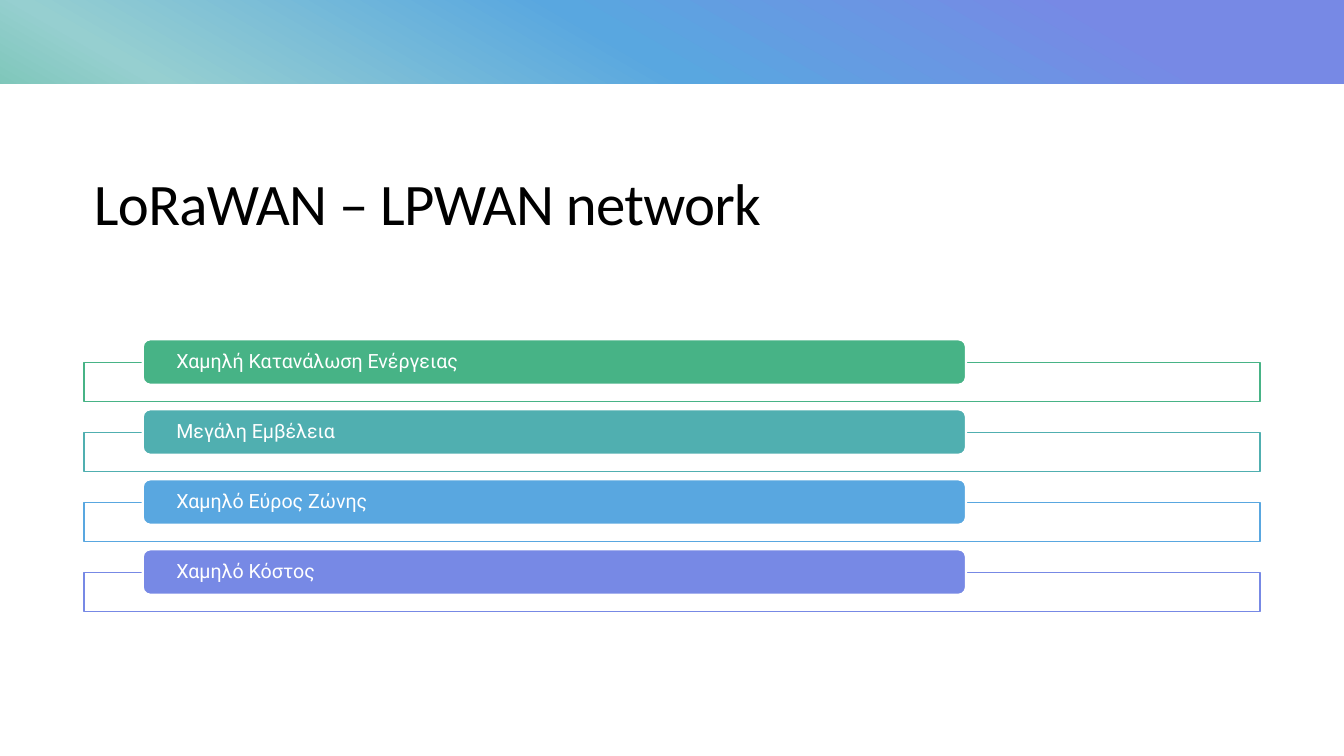
from dataclasses import dataclass

from lxml.etree import SubElement
from pptx import Presentation
from pptx.dml.color import RGBColor as Rgb
from pptx.enum.shapes import MSO_SHAPE as Kind
from pptx.enum.text import MSO_ANCHOR as Anchor, PP_ALIGN as Align
from pptx.oxml.ns import qn
from pptx.shapes.autoshape import Shape
from pptx.shapes.shapetree import SlideShapes as Shapes
from pptx.util import Pt


@dataclass(frozen=True)
class Theme:
    white: str = "FFFFFF"
    black: str = "000000"
    green: str = "47B386"
    teal: str = "50AFB0"
    blue: str = "59A7E0"
    violet: str = "7789E5"
    mint: str = "96CFD0"
    leaf: str = "44B557"
    head: str = "Calibri"
    body: str = "Roboto"
    big: float = 42
    small: float = 14


@dataclass(frozen=True)
class Box:
    left: float
    top: float
    width: float
    height: float


@dataclass(frozen=True)
class Row:
    label: str
    color: str


THEME = Theme()
PAGE = Box(0, 0, 960, 540)
PITCH = 50
STOPS = {10: THEME.violet, 30: THEME.blue, 50: THEME.mint, 70: THEME.green, 90: THEME.leaf}
ROWS = [
    Row("Χαμηλή Κατανάλωση Ενέργειας", THEME.green),
    Row("Μεγάλη Εμβέλεια", THEME.teal),
    Row("Χαμηλό Εύρος Ζώνης", THEME.blue),
    Row("Χαμηλό Κόστος", THEME.violet),
]


def place(box: Box) -> tuple[Pt, Pt, Pt, Pt]:
    """Return the box as lengths."""
    return Pt(box.left), Pt(box.top), Pt(box.width), Pt(box.height)


def draw(shapes: Shapes, kind: Kind, box: Box, fill: str, line: str = "", width: float = 1) -> Shape:
    """Add a flat shape with a solid fill and an optional line."""
    shape = shapes.add_shape(kind, *place(box))
    shape.shadow.inherit = False
    shape.fill.solid()
    shape.fill.fore_color.rgb = Rgb.from_string(fill)
    if line:
        shape.line.color.rgb = Rgb.from_string(line)
        shape.line.width = Pt(width)
    else:
        shape.line.fill.background()
    return shape


def blend(shape: Shape, stops: dict[int, str], angle: float) -> None:
    """Fill the shape with a linear gradient, angle counted counter-clockwise."""
    shape.fill.gradient()
    shape.fill.gradient_angle = angle
    group = shape.element.spPr.find(".//" + qn("a:gsLst"))
    for old in list(group):
        group.remove(old)
    for share, color in stops.items():
        stop = SubElement(group, qn("a:gs"), pos=str(share * 1000))
        SubElement(stop, qn("a:srgbClr"), val=color)


def fade(shape: Shape, share: int) -> None:
    """Set the opacity of a solid fill in percent."""
    color = shape.element.spPr.find(qn("a:solidFill") + "/" + qn("a:srgbClr"))
    SubElement(color, qn("a:alpha"), val=str(share * 1000))


def write(shape: Shape, text: str, *, font: str, size: float, color: str, anchor: Anchor,
          side: float, edge: float, lead: float, track: float = 0) -> None:
    """Write one left-aligned paragraph into the shape."""
    frame = shape.text_frame
    frame.word_wrap = True
    frame.vertical_anchor = anchor
    frame.margin_left = frame.margin_right = Pt(side)
    frame.margin_top = frame.margin_bottom = Pt(edge)
    para = frame.paragraphs[0]
    para.alignment = Align.LEFT
    para.line_spacing = lead
    run = para.add_run()
    run.text = text
    run.font.name = font
    run.font.size = Pt(size)
    run.font.color.rgb = Rgb.from_string(color)
    if track:
        run.font._element.set("spc", str(round(track * 100)))


def strip(shapes: Shapes, row: Row, shift: float) -> None:
    """Draw one outlined row with its label pill."""
    frame = draw(shapes, Kind.RECTANGLE, Box(60, 258.8 + shift, 840, 27.8), THEME.white, row.color)
    fade(frame, 90)
    pill = draw(shapes, Kind.ROUNDED_RECTANGLE, Box(102, 242.4 + shift, 588, 32.4),
                row.color, THEME.white, 1.5)
    write(pill, row.label, font=THEME.body, size=THEME.small, color=THEME.white,
          anchor=Anchor.MIDDLE, side=22.4, edge=0, lead=0.9)


def main() -> None:
    """Build the slide and save it."""
    deck = Presentation()
    deck.slide_width, deck.slide_height = Pt(PAGE.width), Pt(PAGE.height)
    shapes = deck.slides.add_slide(deck.slide_layouts[6]).shapes
    blend(draw(shapes, Kind.RECTANGLE, PAGE, THEME.white), STOPS, 240)
    draw(shapes, Kind.RECTANGLE, Box(0, 60, 960, 480), THEME.white)
    title = shapes.add_textbox(*place(Box(60, 119.5, 840, 106)))
    write(title, "LoRaWAN – LPWAN network", font=THEME.head, size=THEME.big, color=THEME.black,
          anchor=Anchor.TOP, side=7.2, edge=3.6, lead=0.95, track=-0.5)
    for rank, row in enumerate(ROWS):
        strip(shapes, row, rank * PITCH)
    deck.save("out.pptx")


if __name__ == "__main__":
    main()
